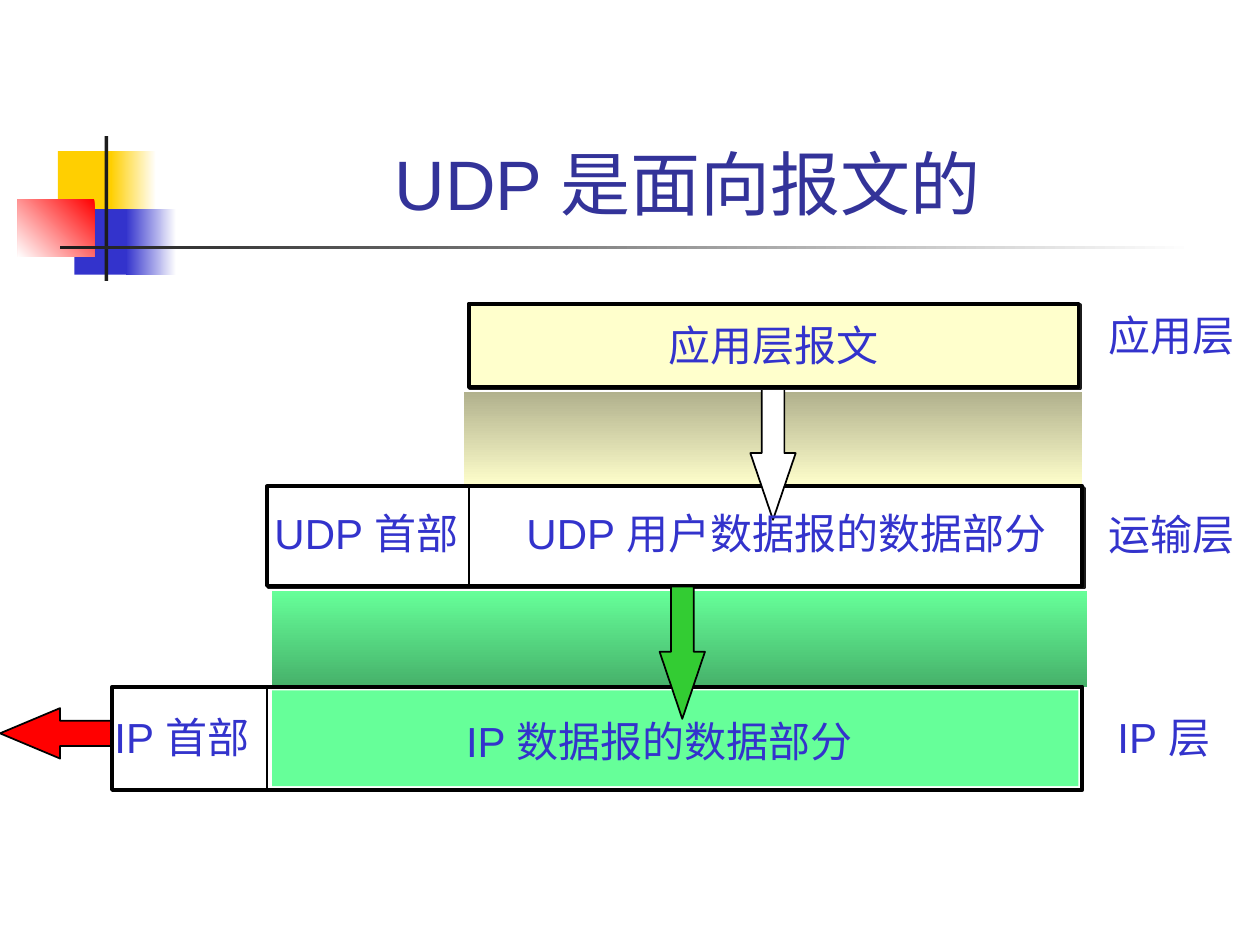
"""Build a slide showing how UDP carries whole application messages."""
from lxml import etree
from pptx import Presentation
from pptx.dml.color import RGBColor
from pptx.enum.shapes import MSO_CONNECTOR, MSO_SHAPE
from pptx.enum.text import MSO_ANCHOR, MSO_AUTO_SIZE, PP_ALIGN
from pptx.oxml.ns import qn
from pptx.util import Inches, Pt

RECTANGLE, ARROW = MSO_SHAPE.RECTANGLE, MSO_SHAPE.RIGHT_ARROW
STRAIGHT = MSO_CONNECTOR.STRAIGHT
TOP, MIDDLE, BOTTOM = MSO_ANCHOR.TOP, MSO_ANCHOR.MIDDLE, MSO_ANCHOR.BOTTOM
LEFT, CENTER = PP_ALIGN.LEFT, PP_ALIGN.CENTER
NO_AUTOFIT, FIT_SHAPE = MSO_AUTO_SIZE.NONE, MSO_AUTO_SIZE.SHAPE_TO_FIT_TEXT

COLORS = {
    "white": "FFFFFF", "black": "000000", "ink": "1C1C1C", "gold": "FFCF01",
    "blue": "3333CC", "navy": "333399", "red": "FF0000", "green": "33CC33",
    "mint": "66FF99", "dark mint": "46B16A", "cream": "FFFFCC", "khaki": "B1B18D",
}
TITLE = "UDP 是面向报文的 "
TITLE_BOX = (1.26, 0.23, 8.52, 1.6)
DECORATIONS = [
    ((0.46, 1.2, 0.48, 0.52), "gold"),
    ((0.88, 1.2, 0.36, 0.52), ("white", "gold", 180)),
    ((0.59, 1.66, 0.46, 0.52), "blue"),
    ((1, 1.66, 0.4, 0.52), ("white", "blue", 180)),
    ((0.14, 1.58, 0.61, 0.46), ("red", "white", 225)),
    ((0.83, 1.08, 0.03, 1.15), "ink"),
    ((0.48, 1.95, 9, 0.03), ("white", "ink", 180)),
]
BANDS = [
    ((2.16, 4.69, 6.47, 0.76), ("mint", "dark mint", 270)),
    ((3.68, 3.11, 4.91, 0.75), ("khaki", "cream", 270)),
]
UDP_BOX = (2.12, 3.86, 6.47, 0.79)
IP_BOX = (0.89, 5.45, 7.7, 0.82)
IP_DATA_BOX = (2.16, 5.48, 6.4, 0.76)
MESSAGE_BOX = (3.72, 2.41, 4.84, 0.66)
MESSAGE = "应用层报文"
DIVIDERS = [(3.72, UDP_BOX), (2.12, IP_BOX)]
OUTPUT_ARROW = ((0, 5.62, 0.94, 0.4), "red", 180, 1.19)
DOWN_ARROWS = [
    ((4.89, 5, 1.05, 0.36), "green", 90, 1.48),
    ((5.61, 3.42, 1.05, 0.36), "white", 90, 1.47),
]
LABELS = [
    ("IP 数据报的数据部分", 3.6, 5.63, 3.35, None),
    ("IP 首部", 0.81, 5.6, 1.35, None),
    ("IP 层", 8.77, 5.6, 1.02, None),
    ("UDP 首部", 2.08, 3.98, 1.74, None),
    ("UDP 用户数据报的数据部分", 4.08, 3.98, 4.41, None),
    ("运输层", 8.7, 3.99, 1.2, "white"),
    ("应用层", 8.7, 2.41, 1.2, None),
]
LABEL_HEIGHT = 0.5


def color(name):
    return RGBColor.from_string(COLORS[name])


def paint(shape, fill):
    if isinstance(fill, str):
        shape.fill.solid()
        shape.fill.fore_color.rgb = color(fill)
        return
    *names, angle = fill
    shape.fill.gradient()
    shape.fill.gradient_angle = angle
    for stop, name in zip(shape.fill.gradient_stops, names):
        stop.color.rgb = color(name)


def add_shape(slide, box, fill, line_width=None, kind=RECTANGLE):
    shape = slide.shapes.add_shape(kind, *map(Inches, box))
    shape.shadow.inherit = False
    paint(shape, fill)
    if line_width is None:
        shape.line.fill.background()
    else:
        shape.line.color.rgb = color("black")
        shape.line.width = Pt(line_width)
    return shape


def add_arrow(slide, box, fill, rotation, head):
    arrow = add_shape(slide, box, fill, 1, ARROW)
    arrow.rotation = rotation
    arrow.adjustments[0] = 0.5
    arrow.adjustments[1] = head


def add_shadow(shape):
    effects = shape._element.spPr.find(qn("a:effectLst"))
    shadow = etree.SubElement(effects, qn("a:outerShdw"), blurRad="0",
                              dist=str(Pt(1.4)), dir="2700000", algn="ctr", rotWithShape="0")
    etree.SubElement(shadow, qn("a:srgbClr"), val=COLORS["ink"])


def add_divider(slide, x, box):
    top, height = box[1], box[3]
    line = slide.shapes.add_connector(STRAIGHT, *map(Inches, (x, top, x, top + height)))
    line.line.color.rgb = color("black")
    line.line.width = Pt(1)
    etree.SubElement(line._element.spPr, qn("a:effectLst"))


def write(shape, text, size=24, ink="blue", align=LEFT, anchor=TOP, wrap=False, fit=NO_AUTOFIT):
    frame = shape.text_frame
    frame.word_wrap = wrap
    frame.auto_size = fit
    frame.vertical_anchor = anchor
    paragraph = frame.paragraphs[0]
    paragraph.alignment = align
    run = paragraph.add_run()
    run.text = text
    run.font.name = "Arial"
    run.font.size = Pt(size)
    run.font.color.rgb = color(ink)


def add_label(slide, text, left, top, width, fill):
    label = slide.shapes.add_textbox(*map(Inches, (left, top, width, LABEL_HEIGHT)))
    if fill:
        paint(label, fill)
    write(label, text, fit=FIT_SHAPE)


def main():
    presentation = Presentation()
    presentation.slide_width, presentation.slide_height = Inches(10), Inches(7.5)
    slide = presentation.slides.add_slide(presentation.slide_layouts[5])

    title = slide.shapes.title
    title.left, title.top, title.width, title.height = map(Inches, TITLE_BOX)
    write(title, TITLE, 40, "navy", CENTER, BOTTOM, wrap=True)

    for box, fill in DECORATIONS:
        add_shape(slide, box, fill)
    add_arrow(slide, *OUTPUT_ARROW)
    for box, fill in BANDS:
        add_shape(slide, box, fill)
    add_shadow(add_shape(slide, UDP_BOX, "white", 2.25))
    add_shape(slide, IP_BOX, "white", 2.25)
    add_shape(slide, IP_DATA_BOX, "mint")
    for x, box in DIVIDERS:
        add_divider(slide, x, box)
    for arrow in DOWN_ARROWS:
        add_arrow(slide, *arrow)
    message = add_shape(slide, MESSAGE_BOX, "cream", 2.25)
    add_shadow(message)
    write(message, MESSAGE, align=CENTER, anchor=MIDDLE)
    for label in LABELS:
        add_label(slide, *label)

    presentation.save("out.pptx")


if __name__ == "__main__":
    main()
